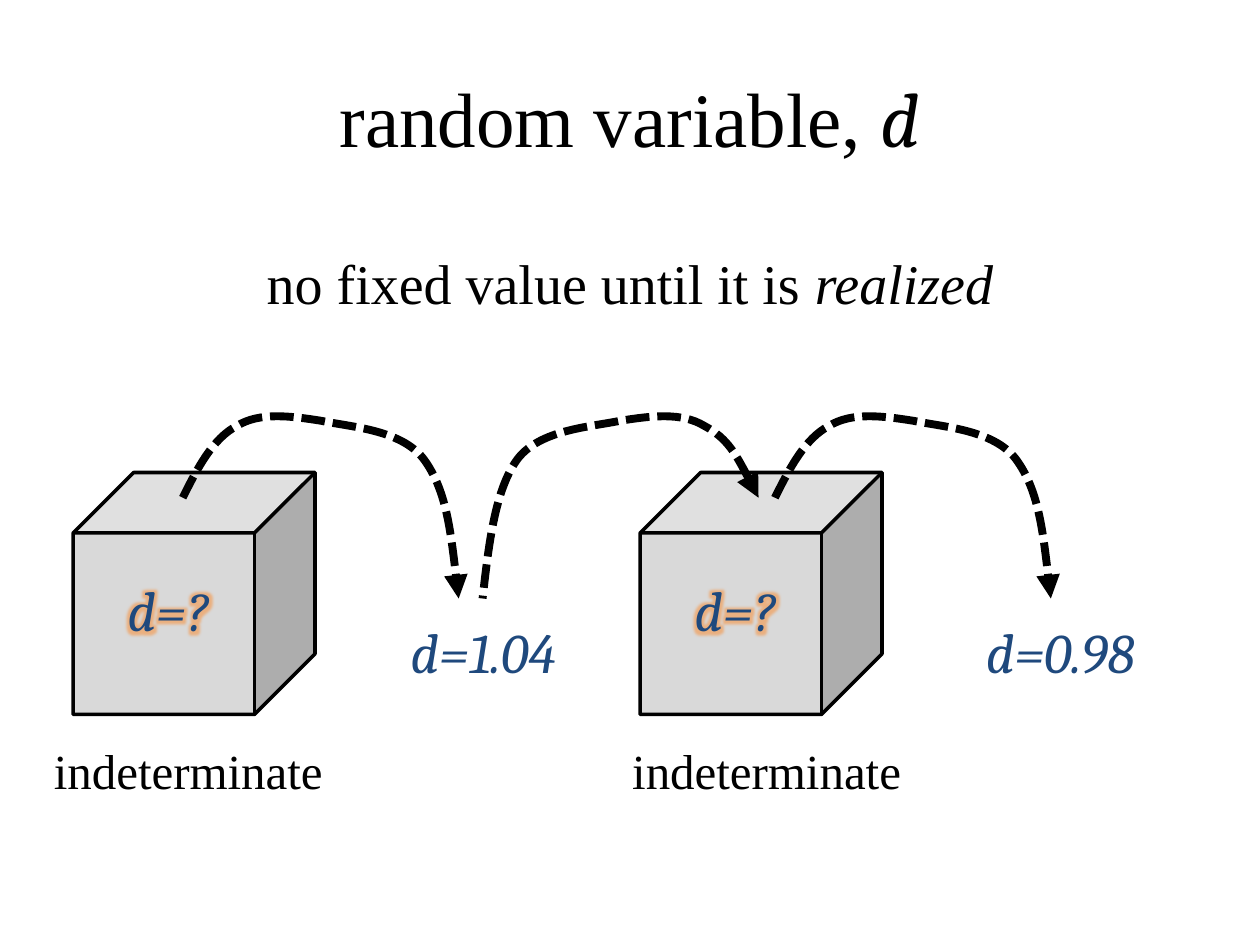
from dataclasses import dataclass
from lxml.etree import SubElement
from pptx import Presentation
from pptx.dml.color import RGBColor
from pptx.enum.dml import MSO_LINE
from pptx.enum.shapes import MSO_SHAPE
from pptx.enum.text import MSO_ANCHOR, PP_ALIGN
from pptx.oxml import parse_xml
from pptx.oxml.ns import nsdecls, qn
from pptx.util import Inches, Pt


@dataclass(frozen=True)
class Theme:
    text_font: str = "Times New Roman"
    math_font: str = "Cambria"
    title_size: int = 44
    body_size: int = 32
    label_size: int = 28
    ink: str = "000000"
    value: str = "1F497D"
    box_fill: str = "D9D9D9"
    glow: str = "F79646"
    box_line: int = 2
    arrow_line: float = 4.5


THEME = Theme()
ARC = [(0, 0.68), (0.12, 0.44), (0.24, 0.21), (0.43, 0.11),
       (0.61, 0), (0.85, 0.03), (1.1, 0.07),
       (1.34, 0.12), (1.73, 0.14), (1.91, 0.37),
       (2.09, 0.61), (2.14, 1.04), (2.19, 1.48)]
ARC_WIDTH = 2.19


def place(shape, box):
    shape.left, shape.top, shape.width, shape.height = map(Inches, box)


def style(paragraph, font_name, size, color):
    paragraph.alignment = PP_ALIGN.CENTER
    paragraph.font.name = font_name
    paragraph.font.size = Pt(size)
    paragraph.font.color.rgb = RGBColor.from_string(color)


def fill_placeholder(shape, box, size, plain, emphasis, emphasis_font=None):
    place(shape, box)
    paragraph = shape.text_frame.paragraphs[0]
    style(paragraph, THEME.text_font, size, THEME.ink)
    paragraph.add_run().text = plain
    run = paragraph.add_run()
    run.text = emphasis
    run.font.italic = True
    if emphasis_font:
        run.font.name = emphasis_font
    return paragraph


def add_text(slide, box, text, font_name, size, color):
    shape = slide.shapes.add_textbox(*map(Inches, box))
    shape.text_frame.word_wrap = True
    paragraph = shape.text_frame.paragraphs[0]
    paragraph.text = text
    style(paragraph, font_name, size, color)
    return shape


def add_value(slide, box, text):
    shape = add_text(slide, box, text, THEME.math_font, THEME.body_size, THEME.value)
    shape.text_frame.vertical_anchor = MSO_ANCHOR.MIDDLE
    shape.text_frame.paragraphs[0].font.italic = True
    return shape


def add_glow(shape):
    properties = shape.text_frame.paragraphs[0].runs[0].font._element
    properties.append(parse_xml(
        f'<a:effectLst {nsdecls("a")}><a:glow rad="101600">'
        f'<a:srgbClr val="{THEME.glow}"><a:alpha val="60000"/></a:srgbClr>'
        '</a:glow></a:effectLst>'))


def add_unknown_box(slide, left, top, label_left):
    cube = slide.shapes.add_shape(MSO_SHAPE.CUBE, *map(Inches, (left, top, 1.92, 1.92)))
    cube.shadow.inherit = False
    cube.fill.solid()
    cube.fill.fore_color.rgb = RGBColor.from_string(THEME.box_fill)
    cube.line.color.rgb = RGBColor.from_string(THEME.ink)
    cube.line.width = Pt(THEME.box_line)
    add_glow(add_value(slide, (left + 0.09, top + 0.67, 1.33, 0.83), "d=?"))
    label = add_text(slide, (label_left, top + 2.08, 2.83, 0.67), "indeterminate",
                     THEME.text_font, THEME.label_size, THEME.ink)
    label.text_frame.paragraphs[0].space_before = Pt(0.2 * THEME.label_size)


def curve_segments(shape):
    outline = shape._element.find(".//" + qn("a:path"))
    lines = outline.findall(qn("a:lnTo"))
    for first in range(0, len(lines), 3):
        curve = SubElement(outline, qn("a:cubicBezTo"))
        for line in lines[first:first + 3]:
            curve.append(line[0])
            outline.remove(line)


def add_arc_arrow(slide, left, top, mirrored=False):
    points = [(Inches(left + (ARC_WIDTH - x if mirrored else x)), Inches(top + y))
              for x, y in ARC]
    builder = slide.shapes.build_freeform(*points[0])
    builder.add_line_segments(points[1:], close=False)
    arrow = builder.convert_to_shape()
    curve_segments(arrow)
    arrow.shadow.inherit = False
    arrow.fill.background()
    arrow.line.color.rgb = RGBColor.from_string(THEME.ink)
    arrow.line.width = Pt(THEME.arrow_line)
    arrow.line.dash_style = MSO_LINE.SQUARE_DOT
    end = "headEnd" if mirrored else "tailEnd"
    SubElement(arrow.line._get_or_add_ln(), qn(f"a:{end}"), type="triangle")


def add_heading(slide):
    title, body = slide.placeholders
    fill_placeholder(title, (0.5, 0.3, 9, 1.25), THEME.title_size,
                     "random variable, ", "d", THEME.math_font)
    title.text_frame.vertical_anchor = MSO_ANCHOR.MIDDLE
    paragraph = fill_placeholder(body, (0.5, 1.92, 9, 0.75), THEME.body_size,
                                 "no fixed value until it is ", "realized")
    paragraph._p.get_or_add_pPr().insert(0, parse_xml(f'<a:buNone {nsdecls("a")}/>'))


def add_realizations(slide, top):
    for left, label_left in ((0.58, 0.08), (5.08, 4.67)):
        add_unknown_box(slide, left, top + 0.48, label_left)
    for left, text in ((2.75, "d=1.04"), (7.33, "d=0.98")):
        add_value(slide, (left, top + 1.48, 2.17, 0.83), text)
    for left, mirrored in ((1.45, False), (3.83, True), (6.15, False)):
        add_arc_arrow(slide, left, top, mirrored)


def main():
    presentation = Presentation()
    presentation.slide_width, presentation.slide_height = Inches(10), Inches(7.5)
    slide = presentation.slides.add_slide(presentation.slide_layouts[1])
    add_heading(slide)
    add_realizations(slide, 3.27)
    presentation.save("out.pptx")


if __name__ == "__main__":
    main()
